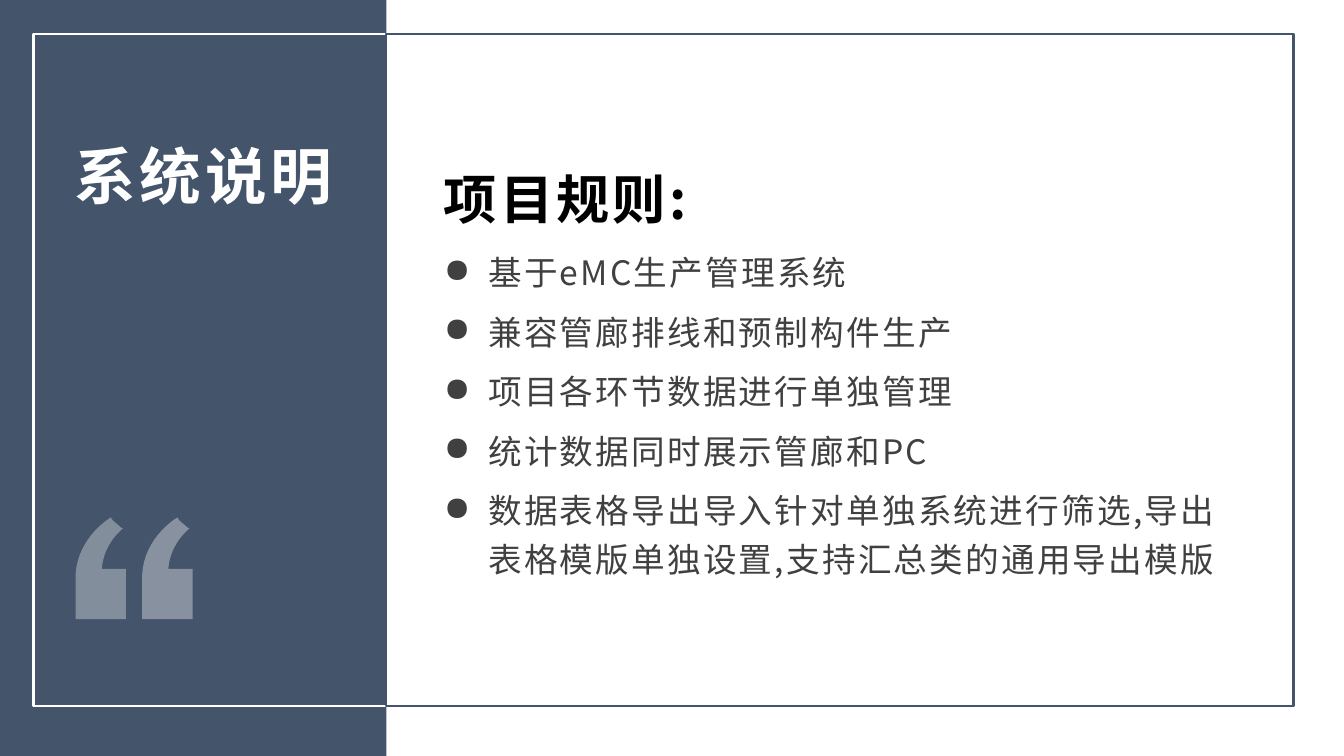
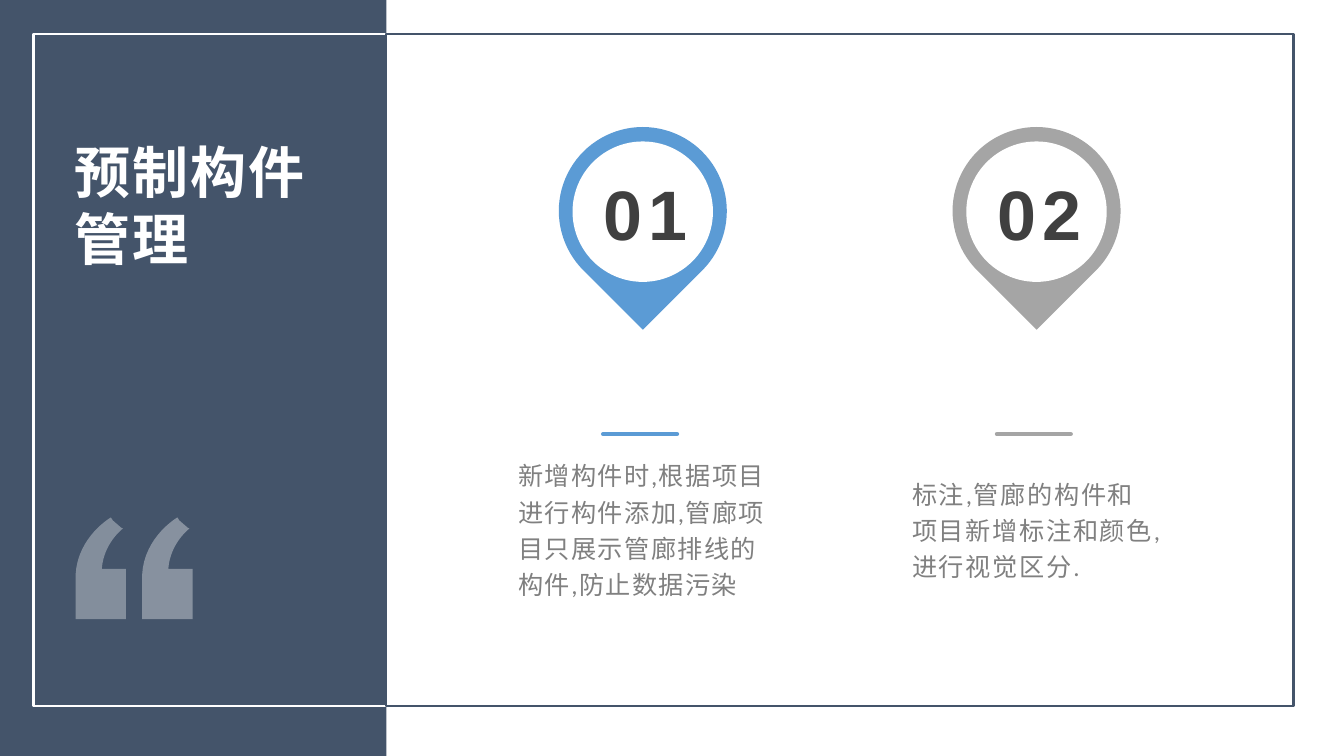
from lxml.etree import SubElement
from pptx import Presentation
from pptx.dml.color import RGBColor
from pptx.enum.shapes import MSO_CONNECTOR, MSO_SHAPE
from pptx.enum.text import MSO_ANCHOR, MSO_AUTO_SIZE, PP_ALIGN
from pptx.oxml.ns import qn
from pptx.util import Inches, Pt

NAVY = RGBColor(0x44, 0x54, 0x6A)
WHITE = RGBColor(0xFF, 0xFF, 0xFF)
BLACK = RGBColor(0x00, 0x00, 0x00)
DARK = RGBColor(0x40, 0x40, 0x40)
GREY = RGBColor(0x80, 0x80, 0x80)
BLUE = RGBColor(0x5B, 0x9B, 0xD5)
SILVER = RGBColor(0xA5, 0xA5, 0xA5)
HAN = "Noto Sans CJK SC"
WIDE, HIGH = Inches(13.33), Inches(7.5)
COLS = 40
ROWS = 22.5
RULES = ["基于eMC生产管理系统", "兼容管廊排线和预制构件生产", "项目各环节数据进行单独管理",
         "统计数据同时展示管廊和PC",
         "数据表格导出导入针对单独系统进行筛选,导出表格模版单独设置,支持汇总类的通用导出模版"]
STEPS = [("01", BLUE, 1, "新增构件时,根据项目进行构件添加,管廊项目只展示管廊排线的构件,防止数据污染"),
         ("02", SILVER, 1.2, "标注,管廊的构件和项目新增标注和颜色,进行视觉区分.")]


def grid(x, y, w, h):
    """Turn columns and rows into slide lengths."""
    return [round(n) for n in (x * WIDE / COLS, y * HIGH / ROWS, w * WIDE / COLS, h * HIGH / ROWS)]


def paint(shape, fill=None, line=None):
    """Give a shape its fill and outline."""
    shape.shadow.inherit = False
    if fill is None:
        shape.fill.background()
    else:
        shape.fill.solid()
        shape.fill.fore_color.rgb = fill
    if line is None:
        shape.line.fill.background()
    else:
        shape.line.color.rgb = line
        shape.line.width = Pt(1.5)
    return shape


def draw(slide, kind, box, fill=None, line=None):
    """Add a preset shape in a grid box."""
    return paint(slide.shapes.add_shape(kind, *grid(*box)), fill, line)


def write(shape, lines, size, color, gap, font=HAN, bold=False, anchor=MSO_ANCHOR.TOP,
          align=PP_ALIGN.LEFT, pad=(0.07, 0.03), lead=None, after=0, dot=None):
    """Fill a shape with styled paragraphs."""
    frame = shape.text_frame
    frame.word_wrap = True
    frame.auto_size = MSO_AUTO_SIZE.NONE
    frame.vertical_anchor = anchor
    frame.margin_left = frame.margin_right = Inches(pad[0])
    frame.margin_top = frame.margin_bottom = Inches(pad[1])
    for n, text in enumerate(lines):
        para = frame.add_paragraph() if n else frame.paragraphs[0]
        para.alignment = align
        para.line_spacing = lead
        para.space_before = Pt(0)
        para.space_after = Pt(after)
        if dot:
            props = para._p.get_or_add_pPr()
            props.set("marL", str(Inches(0.44)))
            props.set("indent", str(-Inches(0.44)))
            SubElement(props, qn("a:buChar")).set("char", dot)
        run = para.add_run()
        run.text = text
        run.font.size = Pt(size)
        run.font.bold = bold
        run.font.name = font
        run.font.color.rgb = color
        props = run._r.get_or_add_rPr()
        props.set("spc", str(round(gap * 100)))
        SubElement(props, qn("a:ea")).set("typeface", HAN)


def label(slide, box, lines, *args, **style):
    """Add a text box in a grid box."""
    write(slide.shapes.add_textbox(*grid(*box)), lines, *args, **style)


def curve(a, b, c, d, steps=16):
    """Return points along a cubic curve."""
    shares = [n / steps for n in range(steps + 1)]
    return [tuple((1 - t) ** 3 * p + 3 * t * (1 - t) ** 2 * q + 3 * t * t * (1 - t) * r + t ** 3 * s
                  for p, q, r, s in zip(a, b, c, d)) for t in shares]


def quote(slide, x, y, alpha):
    """Draw one half of the quotation mark."""
    left, top, _, _ = grid(x, y, 0, 0)
    edge = [(0.5, 1.01), (0, 1.01)]
    edge += curve((0, 0.57), (0.02, 0.19), (0.35, 0), (0.35, 0))
    edge += [(0.37, 0.03), (0.45, 0.1)]
    edge += curve((0.47, 0.11), (0.47, 0.11), (0.28, 0.25), (0.26, 0.51)) + [(0.5, 0.51)]
    spots = [(left + Inches(a), top + Inches(b)) for a, b in edge]
    pen = slide.shapes.build_freeform(*spots[0])
    pen.add_line_segments(spots[1:], close=True)
    mark = paint(pen.convert_to_shape(), WHITE)
    tint = mark._element.spPr.find(qn("a:solidFill"))[0]
    SubElement(tint, qn("a:alpha")).set("val", str(alpha * 1000))


def page(deck, title, size, gap, rows):
    """Add a slide with its side panel, frames and title."""
    slide = deck.slides.add_slide(deck.slide_layouts[5])
    draw(slide, MSO_SHAPE.RECTANGLE, (0, 0, 11.5, ROWS), NAVY)
    draw(slide, MSO_SHAPE.RECTANGLE, (1, 1, 10.5, 20), line=WHITE)
    draw(slide, MSO_SHAPE.RECTANGLE, (11.5, 1, 27, 20), line=NAVY)
    quote(slide, 4.23, 15.4, 36)
    quote(slide, 2.25, 15.4, 34)
    head = slide.shapes.title
    head.left, head.top, head.width, head.height = grid(2, 4, 8.5, rows)
    write(head, [title], size, WHITE, gap, bold=True)
    slide.shapes._spTree.append(head._element)
    return slide


def rules(slide, x, y, w):
    """Place the heading and its bullet list."""
    label(slide, (x, y, w, 2.94), ["项目规则:"], 38, BLACK, 2.2, bold=True, anchor=MSO_ANCHOR.BOTTOM)
    label(slide, (x, y + 3.17, w, 12), RULES, 24, DARK, 1.6, lead=1.2, after=8, dot="●")


def step(slide, x, y, num, color, gap, text):
    """Place a numbered pin with its rule and text."""
    pin = draw(slide, MSO_SHAPE.TEAR, (x + 1.5, y, 5, 5), color)
    pin.rotation = 135
    draw(slide, MSO_SHAPE.OVAL, (x + 1.91, y + 0.43, 4.18, 4.18), WHITE)
    label(slide, (x, y + 9.39, 8, 5.04), [text], 18, GREY, gap, font="Calibri",
          anchor=MSO_ANCHOR.MIDDLE, pad=(0.1, 0.05), lead=1.2, after=8)
    left, top, wide, _ = grid(x + 2.82, y + 9.14, 2.2, 0)
    bar = slide.shapes.add_connector(MSO_CONNECTOR.STRAIGHT, left, top, left + wide, top)
    bar.line.color.rgb = color
    bar.line.width = Pt(3)
    bar.line._get_or_add_ln().set("cap", "rnd")
    SubElement(bar._element.spPr, qn("a:effectLst"))
    label(slide, (x + 2.43, y + 1.08, 3.3, 2.94), [num], 50, DARK, 4.4, font="Arial", bold=True,
          anchor=MSO_ANCHOR.MIDDLE, align=PP_ALIGN.CENTER, after=8)


def main():
    """Build and save both slides."""
    deck = Presentation()
    deck.slide_width, deck.slide_height = WIDE, HIGH
    rules(page(deck, "系统说明", 44, 2.8, 6.5), 13, 4, 24)
    slide = page(deck, "预制构件管理", 40, 1.6, 4.5)
    for n, item in enumerate(STEPS):
        step(slide, 15.13 + n * 11.72, 3.78, *item)
    deck.save("out.pptx")


main()
